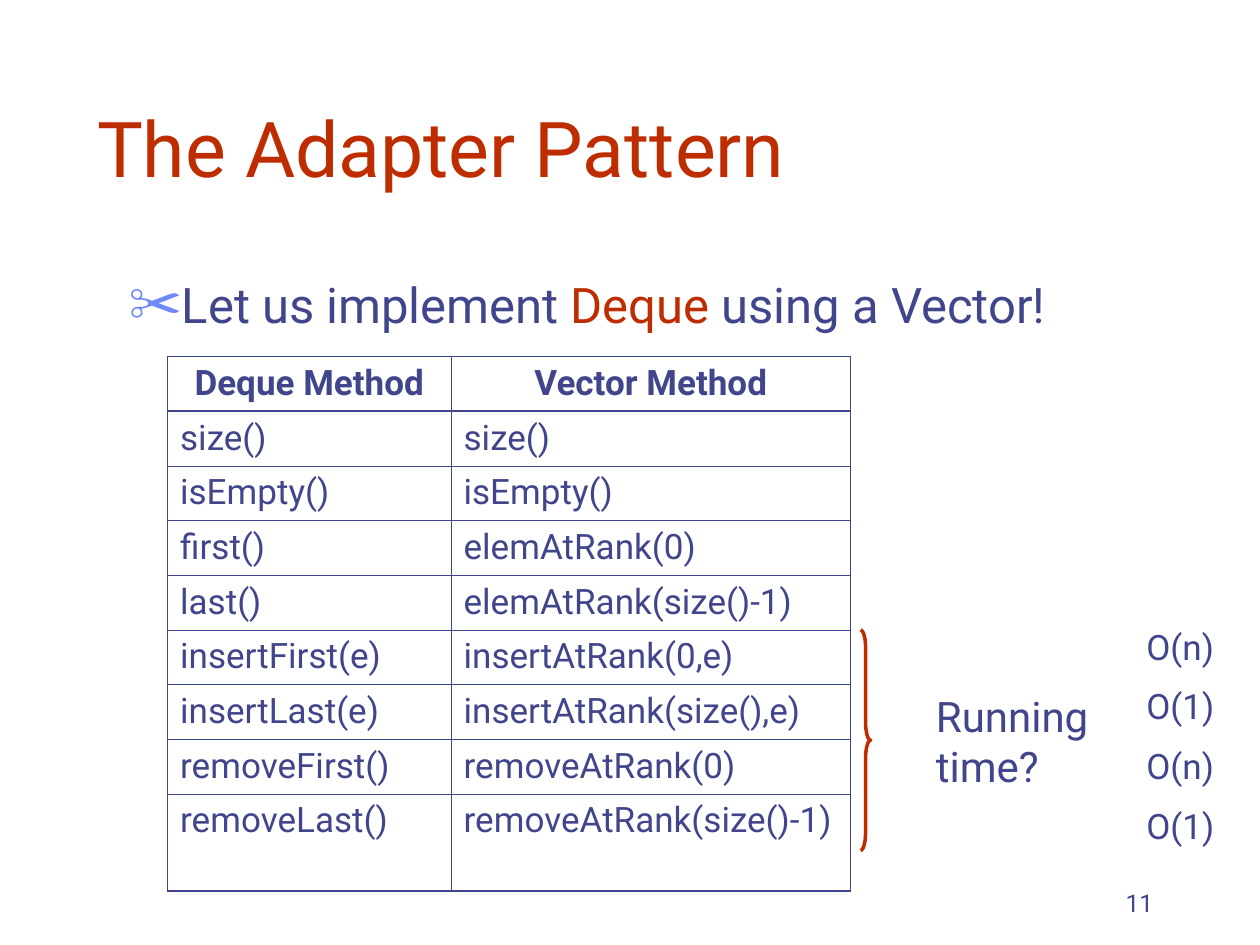
from dataclasses import dataclass
from typing import Any, NamedTuple

from lxml import etree
from pptx import Presentation
from pptx.dml.color import RGBColor
from pptx.enum.shapes import MSO_SHAPE
from pptx.enum.text import MSO_ANCHOR, MSO_AUTO_SIZE, PP_ALIGN
from pptx.oxml.ns import qn
from pptx.util import Inches, Pt

LEFT, CENTER, RIGHT = PP_ALIGN.LEFT, PP_ALIGN.CENTER, PP_ALIGN.RIGHT
TOP, BOTTOM = MSO_ANCHOR.TOP, MSO_ANCHOR.BOTTOM
NO_AUTOFIT = MSO_AUTO_SIZE.NONE
RIGHT_BRACE = MSO_SHAPE.RIGHT_BRACE


@dataclass(frozen=True)
class Theme:
    font: str = "Roboto"
    ink: str = "40458C"
    accent: str = "BE2D00"
    bullet: str = "6F89F7"
    title_size: float = 44
    body_size: float = 28
    question_size: float = 24
    table_size: float = 20
    number_size: float = 14
    outer_line: float = 1.08
    inner_line: float = 0.45


class Box(NamedTuple):
    left: float
    top: float
    width: float
    height: float

    def lengths(self) -> list[int]:
        return [Inches(side) for side in self]


class MethodPair(NamedTuple):
    deque: str
    vector: str


THEME = Theme()
HEADER = MethodPair("Deque Method", "Vector Method")
METHODS = [
    MethodPair("size()", "size()"),
    MethodPair("isEmpty()", "isEmpty()"),
    MethodPair("first()", "elemAtRank(0)"),
    MethodPair("last()", "elemAtRank(size()-1)"),
    MethodPair("insertFirst(e)", "insertAtRank(0,e)"),
    MethodPair("insertLast(e)", "insertAtRank(size(),e)"),
    MethodPair("removeFirst()", "removeAtRank(0)"),
    MethodPair("removeLast()", "removeAtRank(size()-1)"),
]
COLUMN_WIDTHS = [2.25, 3.17]
ROW_HEIGHT, LAST_ROW_HEIGHT = 0.434, 0.77


def write_text(frame: Any, *lines: str, size: float, color: str = THEME.ink,
               bold: bool = False, align: Any = LEFT, anchor: Any = TOP,
               before: float = 0, spacing: float = 1.0,
               accented: str = "") -> None:
    """Write one paragraph a line; the accented word takes the accent colour."""
    frame.word_wrap = True
    frame.vertical_anchor = anchor
    for index, line in enumerate(lines):
        paragraph = frame.paragraphs[0] if index == 0 else frame.add_paragraph()
        paragraph.alignment = align
        paragraph.space_before = Pt(before)
        paragraph.line_spacing = spacing
        for part in line.partition(accented) if accented else [line]:
            run = paragraph.add_run()
            run.text = part
            run.font.name = THEME.font
            run.font.size = Pt(size)
            run.font.bold = bold
            shade = THEME.accent if accented and part == accented else color
            run.font.color.rgb = RGBColor.from_string(shade)


def place(placeholder: Any, box: Box) -> Any:
    (placeholder.left, placeholder.top,
     placeholder.width, placeholder.height) = box.lengths()
    placeholder.text_frame.auto_size = NO_AUTOFIT
    return placeholder.text_frame


def add_text(slide: Any, box: Box, *lines: str, **text_format: Any) -> None:
    frame = slide.shapes.add_textbox(*box.lengths()).text_frame
    write_text(frame, *lines, **text_format)


def set_bullet(paragraph: Any, char: str, color: str, percent: int,
               indent: float) -> None:
    properties = paragraph._p.get_or_add_pPr()
    properties.set("marL", str(Inches(indent)))
    properties.set("indent", str(-Inches(indent)))
    bullet_color = etree.SubElement(properties, qn("a:buClr"))
    etree.SubElement(bullet_color, qn("a:srgbClr"), val=color)
    etree.SubElement(properties, qn("a:buSzPct"), val=str(percent * 1000))
    etree.SubElement(properties, qn("a:buChar"), char=char)


def set_borders(cell: Any, widths: dict[str, float]) -> None:
    properties = cell._tc.get_or_add_tcPr()
    for index, (side, width) in enumerate(widths.items()):
        line = etree.Element(qn(f"a:ln{side}"), w=str(Pt(width)))
        fill = etree.SubElement(line, qn("a:solidFill"))
        etree.SubElement(fill, qn("a:srgbClr"), val=THEME.ink)
        properties.insert(index, line)


def add_method_table(slide: Any, left: float, top: float) -> None:
    rows = [HEADER, *METHODS]
    heights = [ROW_HEIGHT] * (len(rows) - 1) + [LAST_ROW_HEIGHT]
    box = Box(left, top, sum(COLUMN_WIDTHS), sum(heights))
    table = slide.shapes.add_table(
        len(rows), len(COLUMN_WIDTHS), *box.lengths()).table
    table.first_row = table.horz_banding = False
    for column, width in zip(table.columns, COLUMN_WIDTHS):
        column.width = Inches(width)
    for row, height in zip(table.rows, heights):
        row.height = Inches(height)

    last_row, last_column = len(rows) - 1, len(COLUMN_WIDTHS) - 1
    for r, pair in enumerate(rows):
        for c, method in enumerate(pair):
            cell = table.cell(r, c)
            is_header = r == 0
            write_text(cell.text_frame, method, size=THEME.table_size,
                       bold=is_header, before=5,
                       align=CENTER if is_header else LEFT)
            cell.fill.background()
            # Heavy lines run round the table and under the header
            heavy = {"L": c == 0, "R": c == last_column,
                     "T": r <= 1, "B": r in (0, last_row)}
            set_borders(cell, {
                side: THEME.outer_line if is_heavy else THEME.inner_line
                for side, is_heavy in heavy.items()})


def add_brace(slide: Any, box: Box) -> None:
    brace = slide.shapes.add_shape(RIGHT_BRACE, *box.lengths())
    brace.adjustments[0] = 1.75
    brace.shadow.inherit = False
    brace.fill.background()
    brace.line.color.rgb = RGBColor.from_string(THEME.accent)
    brace.line.width = Pt(2)


def main() -> None:
    deck = Presentation()
    deck.slide_width, deck.slide_height = Inches(10), Inches(7.5)
    slide = deck.slides.add_slide(deck.slide_layouts[1])

    # Title and lead sentence
    title = place(slide.shapes.title, Box(0.67, 0.33, 8.5, 1.25))
    write_text(title, "The Adapter Pattern", size=THEME.title_size,
               color=THEME.accent, anchor=BOTTOM)
    lead = place(slide.placeholders[1], Box(0.92, 2.08, 8.67, 4.5))
    write_text(lead, "Let us implement Deque using a Vector!",
               size=THEME.body_size, before=7, spacing=1.1, accented="Deque")
    set_bullet(lead.paragraphs[0], "✂", THEME.bullet, 110, 0.38)

    # Method mapping
    add_method_table(slide, 1.33, 2.83)

    # Running times of the insert and remove methods
    add_brace(slide, Box(6.83, 5, 0.08, 1.75))
    add_text(slide, Box(7.33, 5.43, 2.17, 0.9), "Running time?",
             size=THEME.question_size, before=15)
    add_text(slide, Box(9, 4.95, 1, 1.82), *["O(n)", "O(1)"] * 2,
             size=THEME.table_size, before=12.5, spacing=0.9)

    # Page number
    add_text(slide, Box(7.17, 6.83, 2.08, 0.5), "11",
             size=THEME.number_size, align=RIGHT, anchor=BOTTOM)

    deck.save("out.pptx")


if __name__ == "__main__":
    main()
